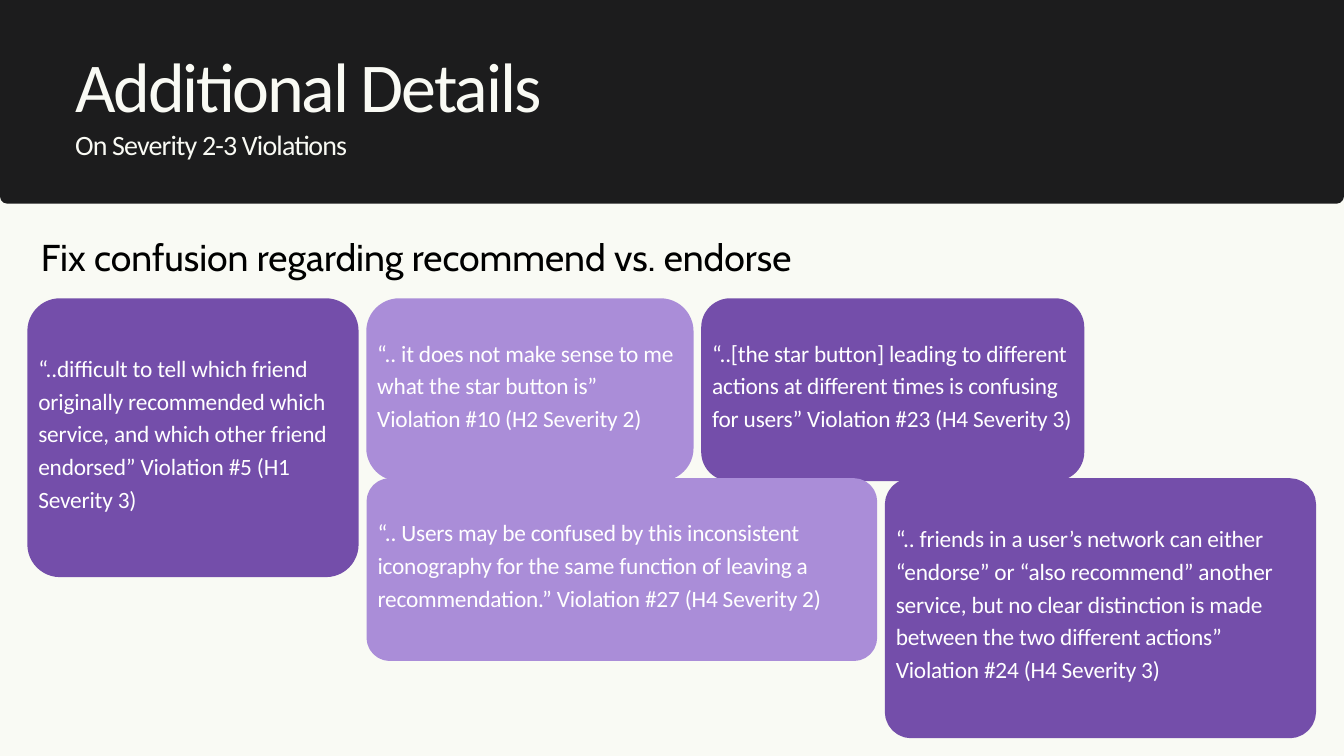
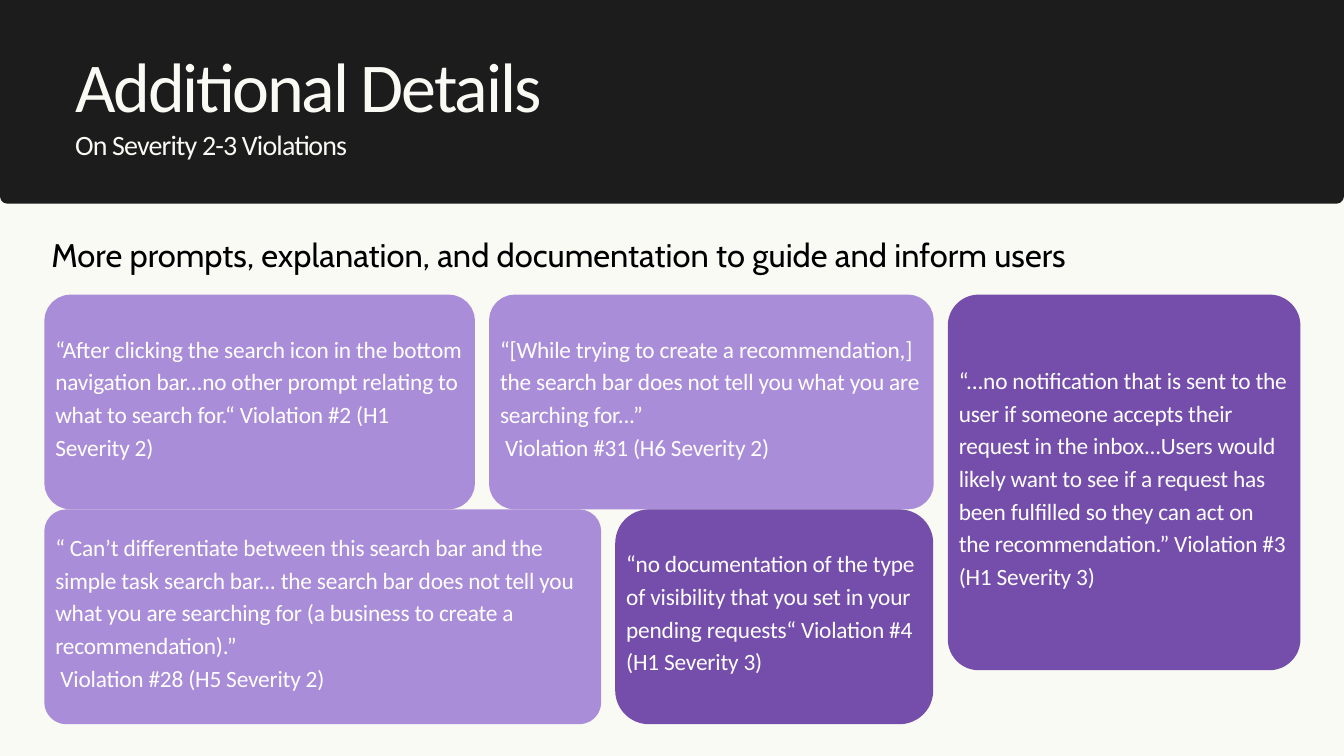
import dataclasses

import pptx
import pptx.dml.color
import pptx.enum.shapes
import pptx.enum.text
import pptx.util

Cm = pptx.util.Cm
Pt = pptx.util.Pt
Anchor = pptx.enum.text.MSO_ANCHOR
AutoSize = pptx.enum.text.MSO_AUTO_SIZE


@dataclasses.dataclass(frozen=True)
class Theme:
    background: str = "F9FAF4"
    band: str = "1C1C1D"
    title: str = "F9FAF4"
    heading: str = "000000"
    card_text: str = "FFFFFF"
    severity_2: str = "AA8DD8"
    severity_3: str = "744EAA"
    text_font: str = "Calibri"
    heading_font: str = "Cabin"
    title_size: int = 75
    subtitle_size: int = 30
    card_size: int = 25
    card_border: int = 15
    title_leading: float = 1.25
    text_leading: float = 1.4


THEME = Theme()
SLIDE_WIDTH = 50.8
TITLE = "Additional Details"
SUBTITLE = "On Severity 2-3 Violations"


def color(value):
    return pptx.dml.color.RGBColor.from_string(value)


def write_text(paragraph, text, *, size, fill, font=THEME.text_font,
               leading=THEME.text_leading, tracking=0):
    """Write one run; leading is a multiple of size, tracking is in points."""
    paragraph.alignment = pptx.enum.text.PP_ALIGN.LEFT
    paragraph.line_spacing = Pt(size * leading)
    paragraph.space_before = paragraph.space_after = Pt(0)
    run = paragraph.add_run()
    run.text = text
    run.font.name = font
    run.font.size = Pt(size)
    run.font.color.rgb = color(fill)
    if tracking:
        run._r.get_or_add_rPr().set("spc", str(round(tracking * 100)))


def format_frame(frame, *, inset=0, anchor=Anchor.TOP, auto_size=AutoSize.NONE):
    frame.word_wrap = True
    frame.auto_size = auto_size
    frame.vertical_anchor = anchor
    frame.margin_left = frame.margin_right = Cm(inset)
    frame.margin_top = frame.margin_bottom = Cm(inset)


def add_rounded_box(slide, left, top, width, height, radius, fill, border=0):
    shape = slide.shapes.add_shape(
        pptx.enum.shapes.MSO_SHAPE.ROUNDED_RECTANGLE,
        Cm(left), Cm(top), Cm(width), Cm(height))
    shape.adjustments[0] = radius / min(width, height)
    shape.shadow.inherit = False
    shape.fill.solid()
    shape.fill.fore_color.rgb = color(fill)
    if border:
        shape.line.color.rgb = color(fill)
        shape.line.width = Pt(border)
    else:
        shape.line.fill.background()


def add_title(slide):
    title = slide.shapes.title
    title.left, title.top = Cm(2.84), Cm(1.47)
    title.width, title.height = Cm(39.19), Cm(4.65)
    frame = title.text_frame
    format_frame(frame)
    for paragraph, text, size in (
            (frame.paragraphs[0], TITLE, THEME.title_size),
            (frame.add_paragraph(), SUBTITLE, THEME.subtitle_size)):
        write_text(paragraph, text, size=size, fill=THEME.title,
                   leading=THEME.title_leading, tracking=-0.03 * size)
    # The placeholder goes in front of the band.
    slide.shapes._spTree.append(title._element)


def add_heading(slide, text, left, top, width, size):
    box = slide.shapes.add_textbox(Cm(left), Cm(top), Cm(width),
                                   Pt(size * THEME.text_leading))
    format_frame(box.text_frame, auto_size=AutoSize.SHAPE_TO_FIT_TEXT)
    write_text(box.text_frame.paragraphs[0], text, size=size,
               fill=THEME.heading, font=THEME.heading_font)


def add_card(slide, left, top, width, height, fill, lines):
    """Add a quote card; wider cards have tighter corners."""
    add_rounded_box(slide, left, top, width, height, 11.6 / width, fill,
                    THEME.card_border)
    text_rise = 0.5
    box = slide.shapes.add_textbox(Cm(left), Cm(top - text_rise),
                                   Cm(width), Cm(height + text_rise))
    frame = box.text_frame
    format_frame(frame, inset=0.15, anchor=Anchor.MIDDLE)
    for index, line in enumerate(lines):
        paragraph = frame.add_paragraph() if index else frame.paragraphs[0]
        write_text(paragraph, line, size=THEME.card_size,
                   fill=THEME.card_text, tracking=-0.2)


def add_card_row(slide, left, top, gap, cards):
    """Set cards side by side; each is (width, height, fill, lines)."""
    for width, height, fill, lines in cards:
        add_card(slide, left, top, width, height, fill, lines)
        left += width + gap


def add_details_slide(presentation):
    slide = presentation.slides.add_slide(presentation.slide_layouts[5])
    slide.background.fill.solid()
    slide.background.fill.fore_color.rgb = color(THEME.background)
    add_rounded_box(slide, 0, -1.34, SLIDE_WIDTH, 9.04, 0.28, THEME.band)
    add_title(slide)
    return slide


def add_recommend_slide(presentation):
    slide = add_details_slide(presentation)
    add_heading(slide, "Fix confusion regarding recommend vs. endorse",
                1.55, 8.56, 45.06, 40)
    gap, height = 0.82, 6.38
    add_card_row(slide, 1.3, 11.54, gap, [
        (11.99, 10.01, THEME.severity_3, [
            "“..difficult to tell which friend originally recommended which "
            "service, and which other friend endorsed” Violation #5 "
            "(H1 Severity 3)"]),
        (11.84, height, THEME.severity_2, [
            "“.. it does not make sense to me what the star button is” "
            "Violation #10 (H2 Severity 2)"]),
        (13.95, height, THEME.severity_3, [
            "“..[the star button] leading to different actions at different "
            "times is confusing for users” Violation #23 (H4 Severity 3)"]),
    ])
    add_card_row(slide, 14.12, 18.34, gap, [
        (18.77, height, THEME.severity_2, [
            "“.. Users may be confused by this inconsistent iconography for "
            "the same function of leaving a recommendation.” Violation #27 "
            "(H4 Severity 2)"]),
        (15.77, 9.3, THEME.severity_3, [
            "“.. friends in a user’s network can either “endorse” or “also "
            "recommend” another service, but no clear distinction is made "
            "between the two different actions” Violation #24 "
            "(H4 Severity 3)"]),
    ])


def add_prompts_slide(presentation):
    slide = add_details_slide(presentation)
    left, gap, height = 1.94, 1.06, 7.59
    add_heading(slide, "More prompts, explanation, and documentation to guide "
                "and inform users", left, 8.64, 46.46, 35)
    add_card_row(slide, left, 11.4, gap, [
        (15.75, height, THEME.severity_2, [
            "“After clicking the search icon in the bottom navigation bar..."
            "no other prompt relating to what to search for.“ Violation #2 "
            "(H1 Severity 2)"]),
        (16.28, height, THEME.severity_2, [
            "“[While trying to create a recommendation,] the search bar does "
            "not tell you what you are searching for...”",
            " Violation #31 (H6 Severity 2)"]),
        (12.8, 13.67, THEME.severity_3, [
            "“...no notification that is sent to the user if someone accepts "
            "their request in the inbox...Users would likely want to see if a "
            "request has been fulfilled so they can act on the "
            "recommendation.” Violation #3 (H1 Severity 3)"]),
    ])
    add_card_row(slide, left, 19.52, gap, [
        (20.52, height, THEME.severity_2, [
            "“ Can’t differentiate between this search bar and the simple "
            "task search bar... the search bar does not tell you what you are "
            "searching for (a business to create a recommendation).”",
            " Violation #28 (H5 Severity 2)"]),
        (11.49, height, THEME.severity_3, [
            "“no documentation of the type of visibility that you set in your "
            "pending requests“ Violation #4 (H1 Severity 3)"]),
    ])


def main():
    presentation = pptx.Presentation()
    presentation.slide_width = Cm(SLIDE_WIDTH)
    presentation.slide_height = Cm(SLIDE_WIDTH * 9 / 16)
    add_recommend_slide(presentation)
    add_prompts_slide(presentation)
    presentation.save("out.pptx")


if __name__ == "__main__":
    main()
